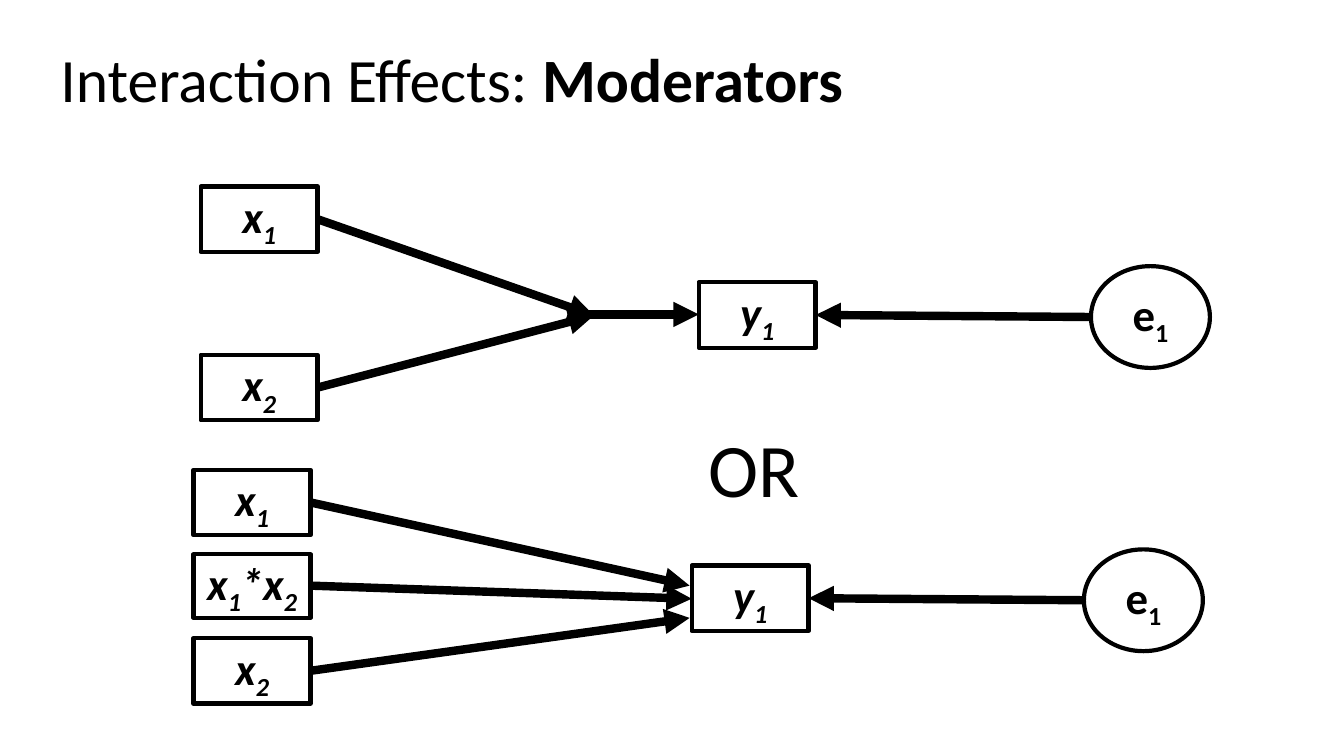
"""Build a slide with two path diagrams of a moderator effect."""
from lxml.etree import SubElement
from pptx import Presentation
from pptx.dml.color import RGBColor
from pptx.enum.shapes import MSO_CONNECTOR, MSO_SHAPE
from pptx.enum.text import MSO_ANCHOR, PP_ALIGN
from pptx.oxml.ns import qn
from pptx.util import Inches, Pt

COLORS = {"ink": "000000", "paper": "FFFFFF"}
FONT = "Calibri"
BOX_WIDTH, BOX_HEIGHT = 1.16, 0.65
Y_LEFT, Y_TOP = 4.94, 0.95
ERROR_LEFT, ERROR_TOP = 8.83, 0.79
ERROR_WIDTH, ERROR_HEIGHT = 1.18, 1.01
X_TOPS = {"1": 0, "2": 1.67}
JOIN = (3.9, 1.28)


class DiagramSlide:
    """Hold the style and the current slide."""

    def __init__(self, page):
        self.page = page

    def color(self, name):
        return RGBColor.from_string(COLORS[name])

    def style(self, span, size, bold=False, italic=False):
        span.font.name = FONT
        span.font.size = Pt(size)
        span.font.bold = bold
        span.font.italic = italic
        span.font.color.rgb = self.color("ink")

    def text(self, left, top, width, height, parts, size, wrap=True, anchor=MSO_ANCHOR.TOP):
        box = self.page.shapes.add_textbox(Inches(left), Inches(top), Inches(width), Inches(height))
        frame = box.text_frame
        frame.word_wrap = wrap
        frame.vertical_anchor = anchor
        para = frame.paragraphs[0]
        para.line_spacing = 0.9 if wrap else 1.0
        for words, bold in parts:
            span = para.add_run()
            span.text = words
            self.style(span, size, bold)

    def node(self, preset, left, top, width, height, parts):
        shape = self.page.shapes.add_shape(
            preset, Inches(left), Inches(top), Inches(width), Inches(height))
        shape.shadow.inherit = False
        shape.line.color.rgb = self.color("ink")
        shape.line.width = Pt(3)
        frame = shape.text_frame
        frame.word_wrap = True
        frame.vertical_anchor = MSO_ANCHOR.MIDDLE
        frame.margin_left = frame.margin_right = Inches(0.09)
        frame.margin_top = frame.margin_bottom = Inches(0.05)
        para = frame.paragraphs[0]
        para.alignment = PP_ALIGN.CENTER
        for index, words in enumerate(parts):
            span = para.add_run()
            span.text = words
            self.style(span, 32, True, preset == MSO_SHAPE.RECTANGLE)
            if index % 2:
                span.font._element.set("baseline", "-25000")
        return shape

    def variable(self, left, top, *parts, height=BOX_HEIGHT):
        box = self.node(MSO_SHAPE.RECTANGLE, left, top, BOX_WIDTH, height, parts)
        box.fill.background()

    def error(self, left, top, *parts):
        circle = self.node(MSO_SHAPE.OVAL, left, top, ERROR_WIDTH, ERROR_HEIGHT, parts)
        circle.fill.solid()
        circle.fill.fore_color.rgb = self.color("paper")

    def arrow(self, start, end):
        points = [Inches(value) for value in (*start, *end)]
        connector = self.page.shapes.add_connector(MSO_CONNECTOR.STRAIGHT, *points)
        connector.line.color.rgb = self.color("ink")
        connector.line.width = Pt(6)
        SubElement(connector.line._get_or_add_ln(), qn("a:tailEnd"), type="triangle")
        SubElement(connector._element.spPr, qn("a:effectLst"))

    def model(self, left, top, targets):
        for (number, offset), (end_x, end_y) in zip(X_TOPS.items(), targets):
            self.variable(left, top + offset, "x", number)
            self.arrow((left + BOX_WIDTH, top + offset + BOX_HEIGHT / 2),
                       (left + end_x, top + end_y))
        self.variable(left + Y_LEFT, top + Y_TOP, "y", "1")
        self.error(left + ERROR_LEFT, top + ERROR_TOP, "e", "1")
        self.arrow((left + ERROR_LEFT, top + ERROR_TOP + ERROR_HEIGHT / 2),
                   (left + Y_LEFT + BOX_WIDTH, top + Y_TOP + BOX_HEIGHT / 2))


def main():
    deck = Presentation()
    deck.slide_width, deck.slide_height = Inches(13.33), Inches(7.5)
    slide = DiagramSlide(deck.slides.add_slide(deck.slide_layouts[6]))

    slide.text(0.5, 0.09, 11.5, 1.45,
               [("Interaction Effects: ", False), ("Moderators", True)],
               44, anchor=MSO_ANCHOR.MIDDLE)

    slide.model(1.99, 1.85, [JOIN, JOIN])
    slide.arrow((5.81, 3.12), (6.93, 3.12))

    slide.text(6.93, 4.14, 1.3, 1.01, [("OR", False)], 54, wrap=False)

    slide.model(1.92, 4.66, [(4.92, 1.15), (4.92, 1.47)])
    slide.variable(1.92, 5.5, "x", "1", "*x", "2", height=0.63)
    slide.arrow((3.08, 5.81), (6.86, 5.94))

    deck.save("out.pptx")


if __name__ == "__main__":
    main()
